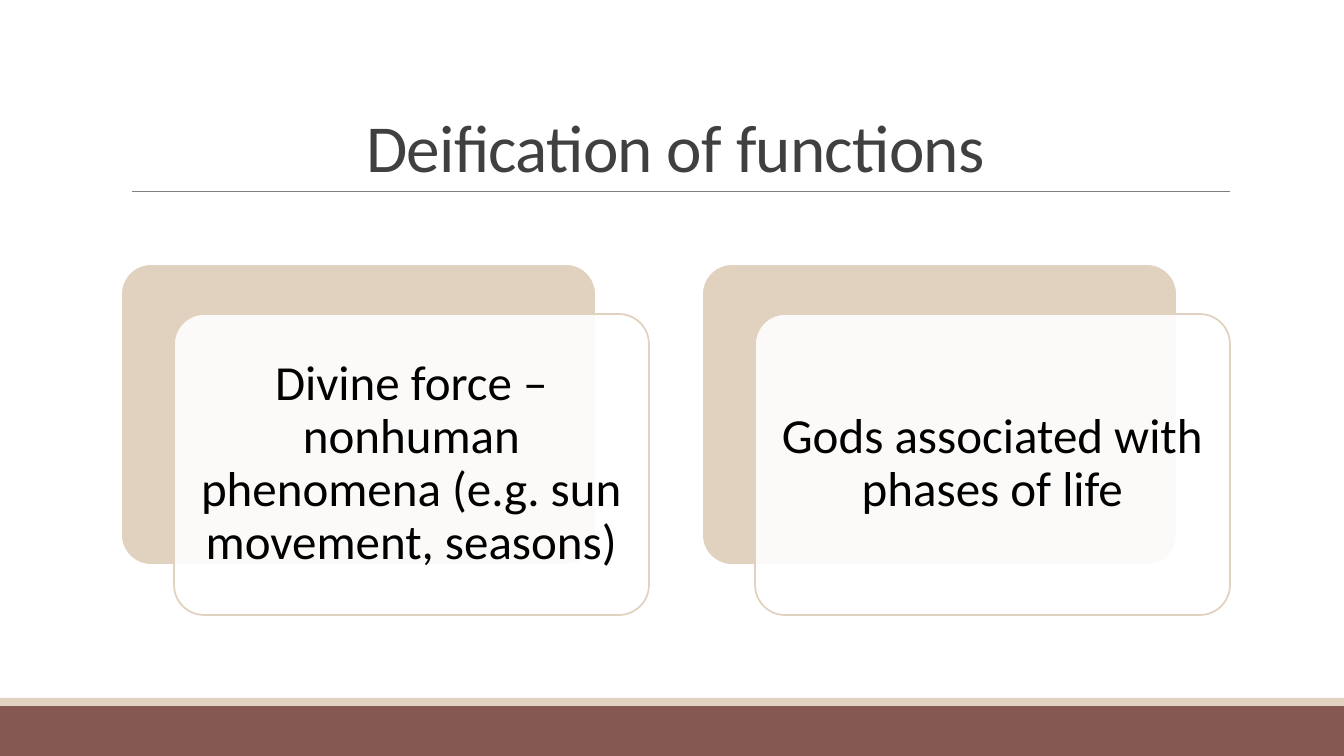
"""Build the slide on the deification of functions: a title above two layered cards."""
import dataclasses

import lxml.etree
import pptx
import pptx.dml.color
import pptx.enum.shapes
import pptx.enum.text
import pptx.oxml.ns
import pptx.util

HEADING = "Deification of functions"
CARDS = [
    "Divine force – nonhuman phenomena (e.g. sun movement, seasons)",
    "Gods associated with phases of life",
]


@dataclasses.dataclass(frozen=True)
class Theme:
    font: str = "Calibri"
    heading_size: int = 48
    card_size: int = 35
    heading: str = "404040"
    text: str = "000000"
    paper: str = "FFFFFF"
    sand: str = "E1D2BF"
    brick: str = "865852"
    rule: str = "808080"


THEME = Theme()
SHAPE = pptx.enum.shapes.MSO_SHAPE
EMU_PER_PX = 914400 / 100.8
SLIDE_W, SLIDE_H = 1344, 756
FOOTER_H, STRIPE_H = 50, 8
CARD_LEFT, CARD_TOP, CARD_PITCH = 121, 264, 581
CARD_W, CARD_H = 475, 301
SHIFT_X, SHIFT_Y = 53, 50
CARD_MARGIN = 15


def px(length):
    return pptx.util.Emu(round(length * EMU_PER_PX))


def rgb(value):
    return pptx.dml.color.RGBColor.from_string(value)


def add_block(slide, kind, box, fill, outline=None):
    block = slide.shapes.add_shape(kind, *map(px, box))
    block.shadow.inherit = False
    block.fill.solid()
    block.fill.fore_color.rgb = rgb(fill)
    if outline:
        block.line.color.rgb = rgb(outline)
        block.line.width = pptx.util.Pt(1.25)
    else:
        block.line.fill.background()
    return block


def write(shape, text, size, color, spacing, anchor):
    frame = shape.text_frame
    frame.text = text
    frame.word_wrap = True
    frame.auto_size = pptx.enum.text.MSO_AUTO_SIZE.NONE
    frame.vertical_anchor = anchor
    paragraph = frame.paragraphs[0]
    paragraph.alignment = pptx.enum.text.PP_ALIGN.CENTER
    paragraph.line_spacing = spacing
    run = paragraph.runs[0]
    run.font.name = THEME.font
    run.font.size = pptx.util.Pt(size)
    run.font.color.rgb = rgb(color)
    return run


def add_card(slide, text, left):
    back_box = (left, CARD_TOP, CARD_W, CARD_H)
    front_box = (left + SHIFT_X, CARD_TOP + SHIFT_Y, CARD_W, CARD_H)
    back = add_block(slide, SHAPE.ROUNDED_RECTANGLE, back_box, THEME.sand, THEME.paper)
    front = add_block(slide, SHAPE.ROUNDED_RECTANGLE, front_box, THEME.paper, THEME.sand)
    for layer in (back, front):
        layer.adjustments[0] = 0.1
    tint = front.fill._xPr.find(".//" + pptx.oxml.ns.qn("a:srgbClr"))
    lxml.etree.SubElement(tint, pptx.oxml.ns.qn("a:alpha"), val="90000")
    frame = front.text_frame
    frame.margin_left = frame.margin_right = px(CARD_MARGIN)
    frame.margin_top = frame.margin_bottom = px(CARD_MARGIN)
    write(front, text, THEME.card_size, THEME.text, 0.9, pptx.enum.text.MSO_ANCHOR.MIDDLE)


def add_frame(slide):
    footer_top = SLIDE_H - FOOTER_H
    add_block(slide, SHAPE.RECTANGLE, (0, footer_top, SLIDE_W, FOOTER_H), THEME.brick)
    add_block(slide, SHAPE.RECTANGLE, (0, footer_top - STRIPE_H, SLIDE_W, STRIPE_H), THEME.sand)
    rule = slide.shapes.add_connector(
        pptx.enum.shapes.MSO_CONNECTOR.STRAIGHT, px(132), px(191), px(1230), px(191))
    rule.line.color.rgb = rgb(THEME.rule)
    rule.line.width = pptx.util.Pt(0.5)
    lxml.etree.SubElement(rule._element.spPr, pptx.oxml.ns.qn("a:effectLst"))


def add_heading(slide):
    title = slide.shapes.title
    title.left, title.top, title.width, title.height = map(px, (121, 31, 1109, 160))
    run = write(title, HEADING, THEME.heading_size, THEME.heading, 0.85,
                pptx.enum.text.MSO_ANCHOR.BOTTOM)
    run.font._element.set("spc", "-50")


def main():
    deck = pptx.Presentation()
    deck.slide_width, deck.slide_height = px(SLIDE_W), px(SLIDE_H)
    slide = deck.slides.add_slide(deck.slide_layouts.get_by_name("Title Only"))
    add_frame(slide)
    add_heading(slide)
    for index, text in enumerate(CARDS):
        add_card(slide, text, CARD_LEFT + index * CARD_PITCH)
    deck.save("out.pptx")


if __name__ == "__main__":
    main()
